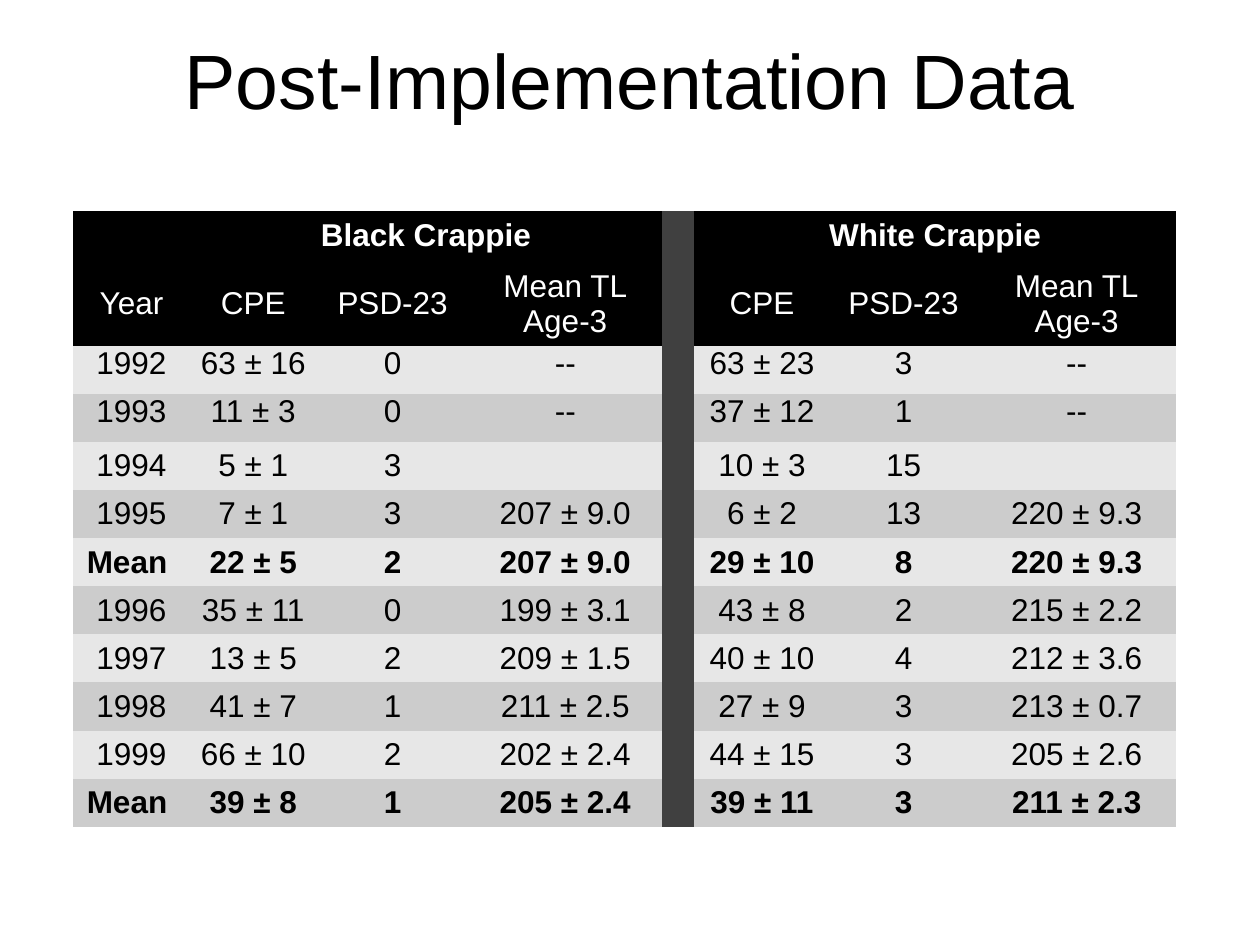
from pptx import Presentation
from pptx.dml.color import RGBColor
from pptx.enum import text
from pptx.util import Cm, Pt

BLACK = RGBColor(0x00, 0x00, 0x00)
WHITE = RGBColor(0xFF, 0xFF, 0xFF)
DIVIDER = RGBColor(0x40, 0x40, 0x40)
BANDS = RGBColor(0xE7, 0xE7, 0xE7), RGBColor(0xCC, 0xCC, 0xCC)
FONT = "Arial"
NO_STYLE = "{2D5ABB26-0587-4C30-8999-92F81FD0307C}"

TITLE = "Post-Implementation Data"
MEASURES = ["CPE", "PSD-23", "Mean TL\nAge-3"]
HEADER = [
    ["", "Black Crappie", "", "", "", "White Crappie", "", ""],
    ["Year", *MEASURES, "", *MEASURES],
]
BODY = [
    ["1992", "63 ± 16", "0", "--", "", "63 ± 23", "3", "--"],
    ["1993", "11 ± 3", "0", "--", "", "37 ± 12", "1", "--"],
    ["1994", "5 ± 1", "3", "", "", "10 ± 3", "15", ""],
    ["1995", "7 ± 1", "3", "207 ± 9.0", "", "6 ± 2", "13", "220 ± 9.3"],
    ["Mean ", "22 ± 5", "2", "207 ± 9.0", "", "29 ± 10", "8", "220 ± 9.3"],
    ["1996", "35 ± 11", "0", "199 ± 3.1", "", "43 ± 8", "2", "215 ± 2.2"],
    ["1997", "13 ± 5", "2", "209 ± 1.5", "", "40 ± 10", "4", "212 ± 3.6"],
    ["1998", "41 ± 7", "1", "211 ± 2.5", "", "27 ± 9", "3", "213 ± 0.7"],
    ["1999", "66 ± 10", "2", "202 ± 2.4", "", "44 ± 15", "3", "205 ± 2.6"],
    ["Mean ", "39 ± 8", "1", "205 ± 2.4", "", "39 ± 11", "3", "211 ± 2.3"],
]
ROWS = HEADER + BODY
WIDTHS = [2.34, 2.57, 3.05, 3.91, 0.64, 2.74, 2.97, 4.01]
ROW_HEIGHT = 0.97
GROUP_COLUMNS = (1, 5)
DIVIDER_COLUMN = 4
TOP_ALIGNED_ROWS = (0, 2, 3)
FIRST_MEAN_ROW = 6


def write(para, words, size, color, bold=False):
    para.alignment = text.PP_ALIGN.CENTER
    span = para.add_run()
    span.text = words
    span.font.name = FONT
    span.font.size = Pt(size)
    span.font.bold = bold
    span.font.color.rgb = color


def fill_cell(cell, words, row, column):
    is_header = row < len(HEADER)
    band = BLACK if is_header else BANDS[row % 2]
    cell.fill.solid()
    cell.fill.fore_color.rgb = DIVIDER if column == DIVIDER_COLUMN else band
    if not is_header:
        cell.margin_left = cell.margin_right = 0
        cell.margin_top = cell.margin_bottom = 0
    if row not in TOP_ALIGNED_ROWS:
        cell.vertical_anchor = text.MSO_ANCHOR.MIDDLE
    if not words:
        return
    bold = row == 0 or ROWS[row][0].startswith("Mean")
    frame = cell.text_frame
    for number, line in enumerate(words.split("\n")):
        para = frame.add_paragraph() if number else frame.paragraphs[0]
        write(para, line, 18, WHITE if is_header else BLACK, bold)
        if row == FIRST_MEAN_ROW:
            para.space_after = Pt(6)


def add_data_table(page):
    graphic = page.shapes.add_table(
        len(ROWS), len(WIDTHS), Cm(1.48), Cm(4.26),
        Cm(sum(WIDTHS)), Cm(ROW_HEIGHT * len(ROWS)))
    table = graphic.table
    table._tbl.tblPr.find("{*}tableStyleId").text = NO_STYLE
    for column, width in zip(table.columns, WIDTHS):
        column.width = Cm(width)
    for r, values in enumerate(ROWS):
        table.rows[r].height = Cm(ROW_HEIGHT)
        for c, words in enumerate(values):
            fill_cell(table.cell(r, c), words, r, c)
    for first in GROUP_COLUMNS:
        table.cell(0, first).merge(table.cell(0, first + len(MEASURES) - 1))


def main():
    deck = Presentation()
    deck.slide_width, deck.slide_height = Cm(25.4), Cm(19.05)
    page = deck.slides.add_slide(deck.slide_layouts[5])
    title = page.shapes.title
    title.left, title.top = Cm(1.27), Cm(0)
    title.width, title.height = Cm(22.86), Cm(3.18)
    title.text_frame.vertical_anchor = text.MSO_ANCHOR.MIDDLE
    write(title.text_frame.paragraphs[0], TITLE, 44, BLACK)
    add_data_table(page)
    deck.save("out.pptx")


if __name__ == "__main__":
    main()
